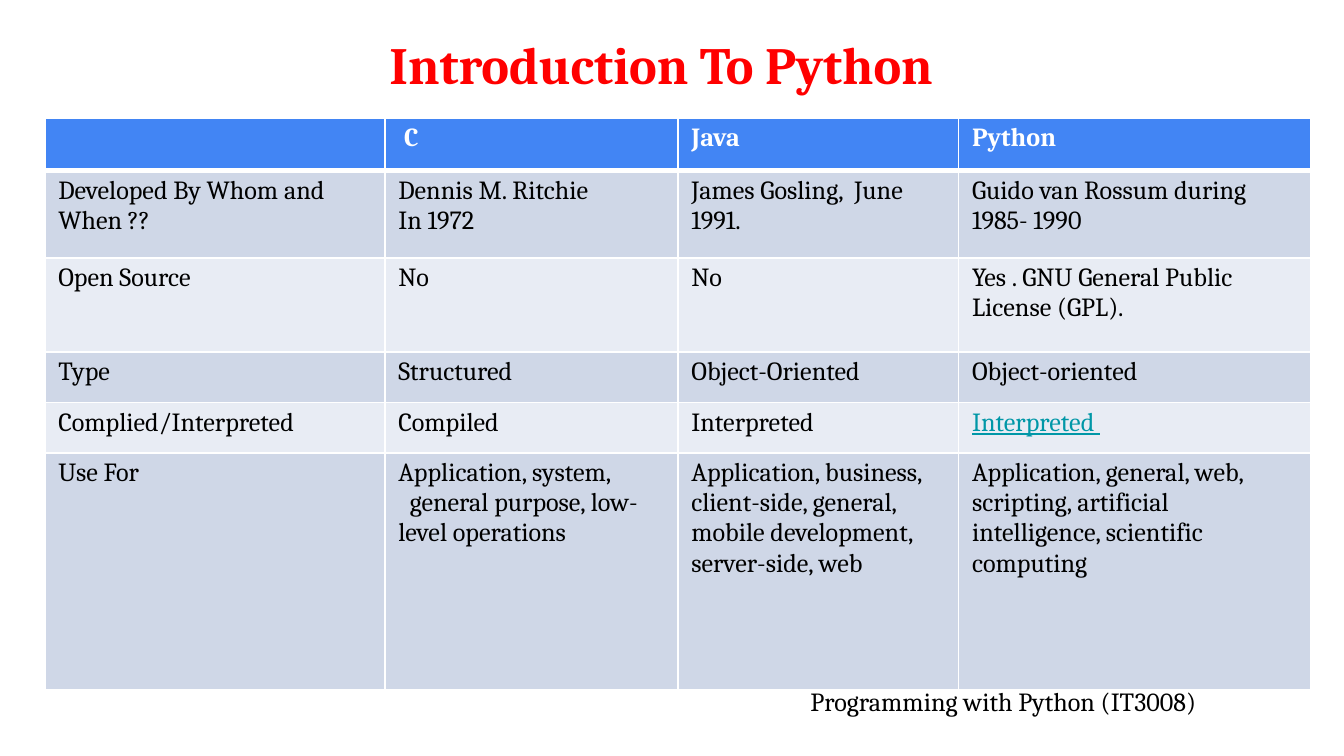
"""Build a slide comparing C, Java and Python in a table."""
from dataclasses import dataclass

from lxml import etree
from pptx import Presentation
from pptx import util as u
from pptx.dml.color import RGBColor
from pptx.enum import text
from pptx.oxml.ns import qn

COLORS = {
    "red": "FF0000", "black": "000000", "white": "FFFFFF", "link": "0097A7",
    "header": "4285F4", "dark band": "CFD7E7", "light band": "E8ECF4",
}
FONT = "Cambria"
COLUMN_WIDTHS = [182.2, 157, 150.4, 188.6]


@dataclass
class TableRow:
    height: float
    cells: list[str]


ROWS = [
    TableRow(28, ["", " C", "Java", "Python"]),
    TableRow(46.8, ["Developed By Whom and When ??", "Dennis M. Ritchie\nIn 1972",
                    "James Gosling,  June 1991.", "Guido van Rossum during 1985- 1990"]),
    TableRow(50.3, ["Open Source", "No", "No", "Yes . GNU General Public License (GPL)."]),
    TableRow(27.2, ["Type", "Structured", "Object-Oriented", "Object-oriented"]),
    TableRow(27.2, ["Complied/Interpreted", "Compiled", "Interpreted", "Interpreted "]),
    TableRow(126.8, ["Use For",
                     "Application, system,\n  general purpose, low-level operations",
                     "Application, business, client-side, general, mobile development, "
                     "server-side, web",
                     "Application, general, web, scripting, artificial intelligence, "
                     "scientific computing"]),
]


def rgb(name: str) -> RGBColor:
    """Return a palette colour."""
    return RGBColor.from_string(COLORS[name])


def apply(target, values: dict) -> None:
    """Set each attribute of the target."""
    for name, value in values.items():
        setattr(target, name, value)


def write(frame, content: str, size: float, color: str, **values) -> None:
    """Fill a text frame with formatted paragraphs."""
    frame.text = content
    for paragraph in frame.paragraphs:
        for run in paragraph.runs:
            apply(run.font, {"name": FONT, "size": u.Pt(size), **values})
            run.font.color.rgb = rgb(color)
        if not paragraph.runs:
            etree.SubElement(paragraph._p, qn("a:endParaRPr"), sz=str(size * 100))


def add_borders(cell, bottom: float) -> None:
    """Draw white borders around a cell."""
    properties = cell._tc.get_or_add_tcPr()
    for side, width in {"L": 1, "R": 1, "T": 1, "B": bottom}.items():
        line = etree.SubElement(properties, qn(f"a:ln{side}"), w=str(u.Pt(width)))
        fill = etree.SubElement(line, qn("a:solidFill"))
        etree.SubElement(fill, qn("a:srgbClr"), val=COLORS["white"])


def add_comparison(slide, left: float, top: float) -> None:
    """Add the comparison table."""
    frame = slide.shapes.add_table(
        len(ROWS), len(COLUMN_WIDTHS), u.Pt(left), u.Pt(top),
        u.Pt(sum(COLUMN_WIDTHS)), u.Pt(sum(row.height for row in ROWS)))
    table = frame.table
    for column, width in zip(table.columns, COLUMN_WIDTHS):
        column.width = u.Pt(width)
    for index, row in enumerate(ROWS):
        table.rows[index].height = u.Pt(row.height)
        is_header = index == 0
        band = "header" if is_header else "dark band" if index % 2 else "light band"
        for position, content in enumerate(row.cells):
            cell = table.cell(index, position)
            apply(cell, {"margin_left": u.Pt(7.2), "margin_right": u.Pt(7.2),
                         "margin_top": u.Pt(2.7), "margin_bottom": u.Pt(2.7)})
            add_borders(cell, 3 if is_header or index == 0 else 1)
            cell.fill.solid()
            cell.fill.fore_color.rgb = rgb(band)
            is_link = content == "Interpreted "
            color = "white" if is_header else "link" if is_link else "black"
            write(cell.text_frame, content, 14, color, bold=is_header, underline=is_link)


def main() -> None:
    """Create and save the presentation."""
    presentation = Presentation()
    apply(presentation, {"slide_width": u.Pt(720), "slide_height": u.Pt(405)})
    slide = presentation.slides.add_slide(presentation.slide_layouts[5])

    footer = slide.shapes.add_textbox(u.Pt(424), u.Pt(360), u.Pt(271.6), u.Pt(31.6))
    apply(footer.text_frame, {
        "word_wrap": True, "auto_size": text.MSO_AUTO_SIZE.SHAPE_TO_FIT_TEXT,
        "margin_left": u.Pt(7.2), "margin_right": u.Pt(7.2),
        "margin_top": u.Pt(7.2), "margin_bottom": u.Pt(7.2)})
    write(footer.text_frame, " Programming with Python (IT3008)", 14, "black")

    title = slide.shapes.title
    apply(title, {"left": u.Pt(30.2), "top": u.Pt(0),
                  "width": u.Pt(648), "height": u.Pt(67.7)})
    write(title.text_frame, "Introduction To Python", 28, "red", bold=True)
    title.text_frame.vertical_anchor = text.MSO_ANCHOR.MIDDLE
    title.text_frame.paragraphs[0].alignment = text.PP_ALIGN.CENTER

    add_comparison(slide, 24, 63.4)
    presentation.save("out.pptx")


if __name__ == "__main__":
    main()
